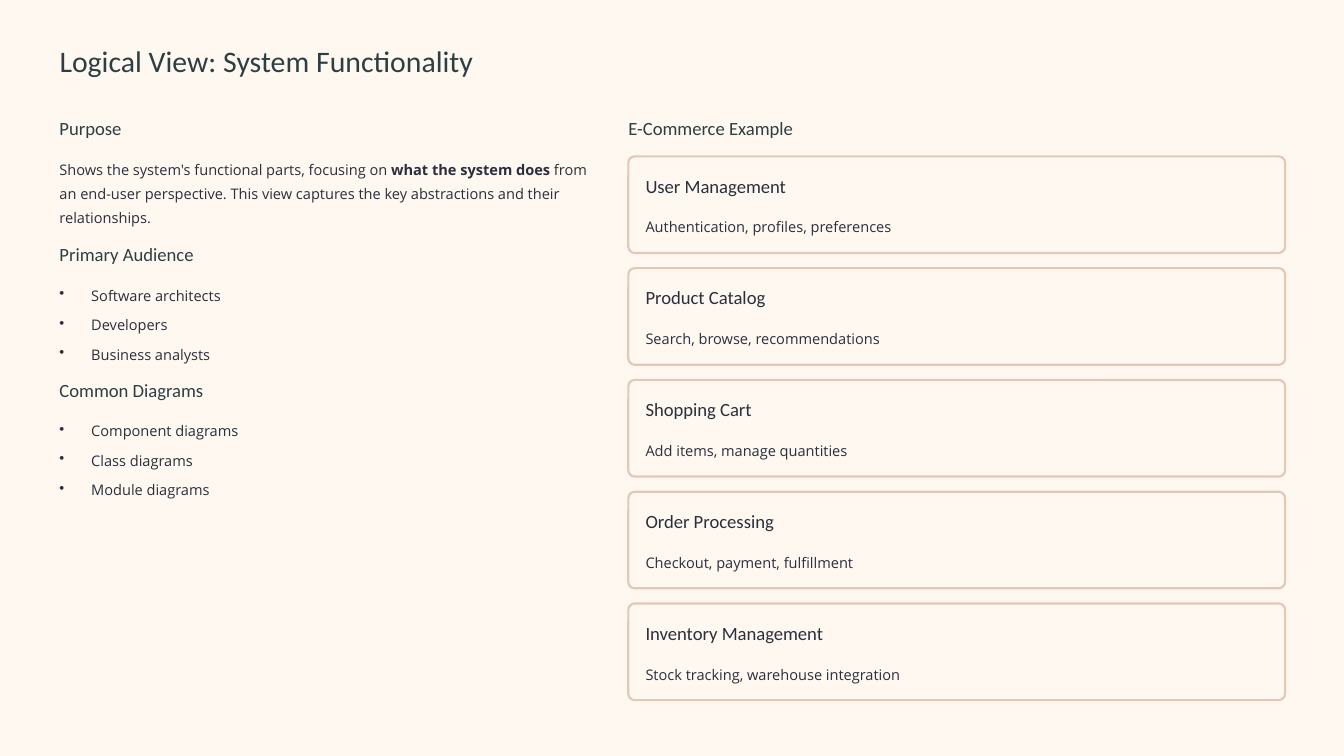
from dataclasses import dataclass

from lxml.etree import SubElement
from pptx import Presentation
from pptx.dml.color import RGBColor
from pptx.enum.shapes import MSO_SHAPE
from pptx.enum.text import MSO_ANCHOR, MSO_AUTO_SIZE, PP_ALIGN
from pptx.oxml.ns import qn
from pptx.util import Cm, Pt


@dataclass(frozen=True)
class Style:
    """Font, size, line pitch and colour of one kind of text."""
    font: str
    size: float
    leading: float
    color: RGBColor


class Theme:
    """Colours and type styles of the slide."""
    paper = RGBColor(0xFF, 0xF8, 0xF0)
    border = RGBColor(0xE2, 0xC8, 0xB5)
    green = RGBColor(0x2C, 0x3F, 0x42)
    ink = RGBColor(0x2B, 0x2E, 0x3C)
    title = Style("Calibri", 25.5, 32, green)
    heading = Style("Calibri", 16, 20, green)
    card = Style("Calibri", 16, 20, ink)
    body = Style("Open Sans", 12.5, 20.5, ink)
    border_width = Pt(1.8)
    bullet_gap = Pt(4.7)


PURPOSE = [
    ("Shows the system's functional parts, focusing on ", False),
    ("what the system does", True),
    (" from an end-user perspective. This view captures the key abstractions"
     " and their relationships.", False),
]
LISTS = [
    ("Primary Audience", ["Software architects", "Developers", "Business analysts"]),
    ("Common Diagrams", ["Component diagrams", "Class diagrams", "Module diagrams"]),
]
CARDS = [
    ("User Management", "Authentication, profiles, preferences"),
    ("Product Catalog", "Search, browse, recommendations"),
    ("Shopping Cart", "Add items, manage quantities"),
    ("Order Processing", "Checkout, payment, fulfillment"),
    ("Inventory Management", "Stock tracking, warehouse integration"),
]


def setup_frame(tf):
    """Remove the margins of a text frame and let it wrap from the top."""
    tf.margin_left = tf.margin_right = tf.margin_top = tf.margin_bottom = 0
    tf.word_wrap = True
    tf.auto_size = MSO_AUTO_SIZE.NONE
    tf.vertical_anchor = MSO_ANCHOR.TOP


def format_paragraph(p, style):
    """Apply a type style to a paragraph and its runs."""
    p.alignment = PP_ALIGN.LEFT
    p.line_spacing = Pt(style.leading)
    for r in p.runs:
        r.font.name = style.font
        r.font.size = Pt(style.size)
        r.font.color.rgb = style.color


def add_text(s, x, y, w, h, text, style):
    """Add a text box with one paragraph per line of text."""
    tf = s.shapes.add_textbox(x, y, w, h).text_frame
    setup_frame(tf)
    tf.text = text
    for p in tf.paragraphs:
        format_paragraph(p, style)
    return tf


def add_title(s, x, y, w, h, text):
    """Place and format the title placeholder."""
    sp = s.shapes.title
    sp.left, sp.top, sp.width, sp.height = x, y, w, h
    sp.text_frame.text = text
    setup_frame(sp.text_frame)
    format_paragraph(sp.text_frame.paragraphs[0], Theme.title)


def add_heading(s, x, y, w, text, style=Theme.heading):
    """Add a one-line heading."""
    add_text(s, x, y, w, Cm(0.71), text, style)


def add_purpose(s, x, y, w):
    """Add the purpose heading and its paragraph with bold words."""
    add_heading(s, x, y, w, "Purpose")
    tf = add_text(s, x, y + Cm(1.16), w, Cm(2.18), "", Theme.body)
    p = tf.paragraphs[0]
    for text, bold in PURPOSE:
        r = p.add_run()
        r.text = text
        r.font.bold = bold
    format_paragraph(p, Theme.body)


def add_bullets(s, x, y, w, heading, items):
    """Add a heading with a bulleted list under it."""
    add_heading(s, x, y, w, heading)
    tf = add_text(s, x, y + Cm(1.16), w, Cm(2.5), "\n".join(items), Theme.body)
    for i, p in enumerate(tf.paragraphs):
        pPr = p._p.get_or_add_pPr()
        pPr.set("marL", str(Cm(0.96)))
        pPr.set("indent", str(-Cm(0.96)))
        SubElement(pPr, qn("a:buChar")).set("char", "•")
        if i:
            p.space_before = Theme.bullet_gap


def add_card(s, x, y, w, h, heading, text):
    """Add a rounded card with a heading and one line of text."""
    sp = s.shapes.add_shape(MSO_SHAPE.ROUNDED_RECTANGLE, x, y, w, h)
    sp.adjustments[0] = 0.065
    sp.shadow.inherit = False
    sp.fill.solid()
    sp.fill.fore_color.rgb = Theme.paper
    sp.line.color.rgb = Theme.border
    sp.line.width = Theme.border_width
    pad = Cm(0.52)
    add_heading(s, x + pad, y + pad, w - 2 * pad, heading, Theme.card)
    add_text(s, x + pad, y + Cm(1.68), w - 2 * pad, Cm(0.73), text, Theme.body)


def add_overview(s, x, y, w):
    """Fill the left column with the purpose and the two lists."""
    add_purpose(s, x, y, w)
    for i, (heading, items) in enumerate(LISTS):
        add_bullets(s, x, y + Cm(3.81) + i * Cm(4.1), w, heading, items)


def add_example(s, x, y, w):
    """Fill the right column with the stack of example cards."""
    add_heading(s, x, y, w, "E-Commerce Example")
    for i, (heading, text) in enumerate(CARDS):
        add_card(s, x, y + Cm(1.22) + i * Cm(3.38), w, Cm(2.92), heading, text)


def main():
    """Build the slide and save the deck."""
    prs = Presentation()
    prs.slide_width, prs.slide_height = Cm(40.64), Cm(22.86)
    s = prs.slides.add_slide(prs.slide_layouts[5])
    s.background.fill.solid()
    s.background.fill.fore_color.rgb = Theme.paper
    left, top = Cm(1.8), Cm(3.51)
    add_title(s, left, Cm(1.24), Cm(37), Cm(1.14), "Logical View: System Functionality")
    add_overview(s, left, top, Cm(16.05))
    add_example(s, Cm(19), top, Cm(19.86))
    prs.save("out.pptx")


if __name__ == "__main__":
    main()
